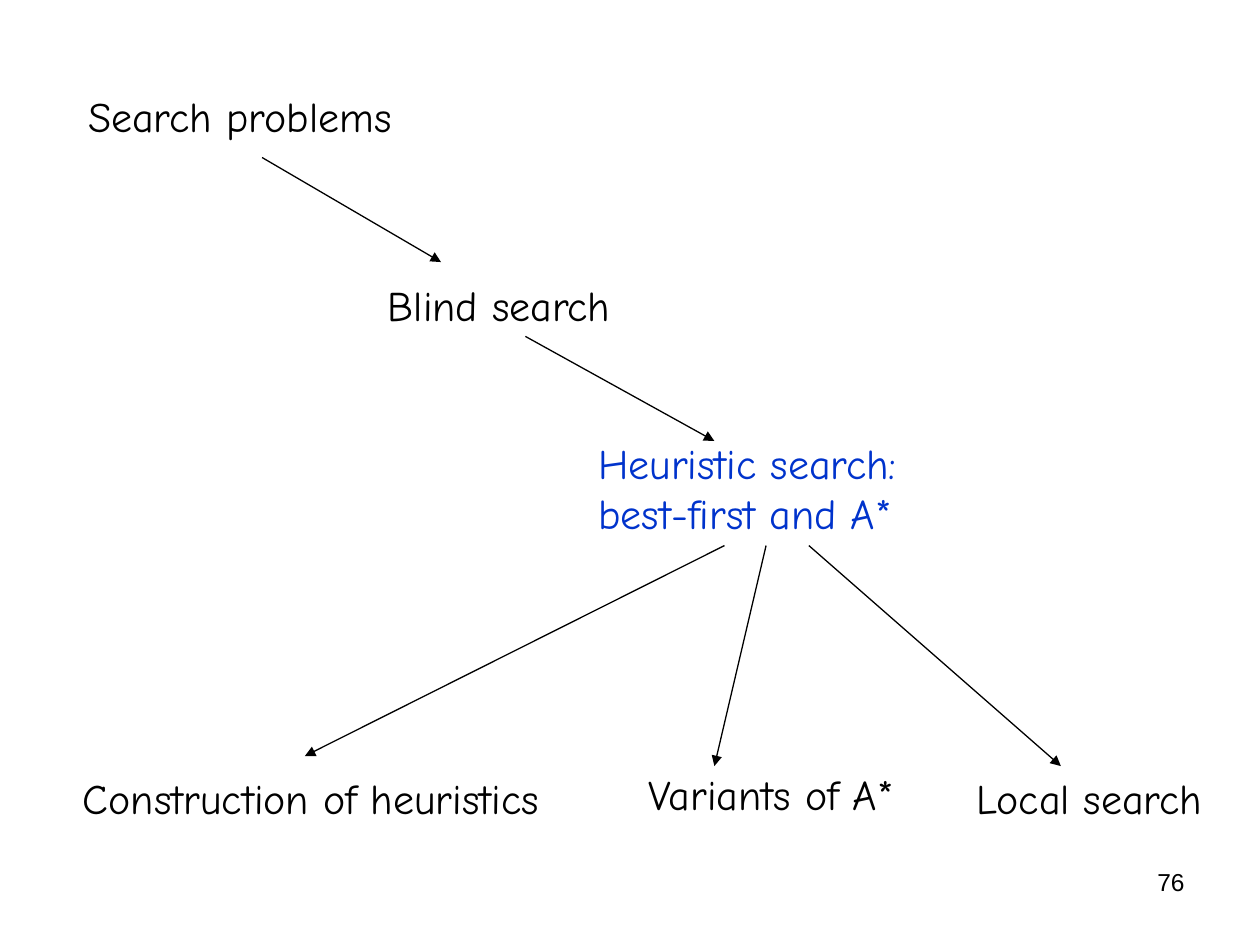
from lxml import etree
from pptx import Presentation
from pptx.dml.color import RGBColor
from pptx.enum.shapes import MSO_CONNECTOR
from pptx.enum.text import MSO_AUTO_SIZE, PP_ALIGN
from pptx.oxml.ns import qn
from pptx.util import Inches, Pt

STRAIGHT = MSO_CONNECTOR.STRAIGHT
FIT_SHAPE = MSO_AUTO_SIZE.SHAPE_TO_FIT_TEXT
LEFT, RIGHT = PP_ALIGN.LEFT, PP_ALIGN.RIGHT
BLACK, BLUE = "000000", "0033CC"

# Topics: text, (left, top, width, height), colour
TOPICS = [
    ("Search problems", (0.6, 0.67, 2.62, 0.5), BLACK),
    ("Blind search", (2.98, 2.17, 1.97, 0.5), BLACK),
    ("Heuristic search: \nbest-first and A*", (4.65, 3.42, 2.69, 0.9), BLUE),
    ("Construction of heuristics", (0.56, 6.08, 3.82, 0.5), BLACK),
    ("Variants of A*", (5.05, 6.05, 2.16, 0.5), BLACK),
    ("Local search", (7.65, 6.08, 2.01, 0.5), BLACK),
]

# Arrows: start point, end point
ARROWS = [
    ((2.08, 1.25), (3.5, 2.08)),
    ((4.17, 2.67), (5.67, 3.5)),
    ((5.75, 4.33), (2.42, 6)),
    ((6.08, 4.33), (5.67, 6.08)),
    ((6.42, 4.33), (8.42, 6.08)),
]


def color(hex_string):
    return RGBColor.from_string(hex_string)


def add_text(slide, text, box, hex_color, font="Comic Neue", size=24, align=LEFT):
    shape = slide.shapes.add_textbox(*map(Inches, box))
    paragraph = shape.text_frame.paragraphs[0]
    paragraph.text = text
    paragraph.alignment = align
    paragraph.font.name = font
    paragraph.font.size = Pt(size)
    paragraph.font.color.rgb = color(hex_color)
    return shape.text_frame


def add_topic(slide, text, box, hex_color):
    text_frame = add_text(slide, text, box, hex_color)
    text_frame.word_wrap = False
    text_frame.auto_size = FIT_SHAPE


def add_arrow(slide, start, end):
    connector = slide.shapes.add_connector(STRAIGHT, *map(Inches, start + end))
    connector.line.color.rgb = color(BLACK)
    connector.line.width = Pt(0.75)
    # Arrowhead at the end, no shadow
    line = connector.line._get_or_add_ln()
    etree.SubElement(line, qn("a:tailEnd"), type="triangle")
    etree.SubElement(connector._element.spPr, qn("a:effectLst"))


def main():
    presentation = Presentation()
    presentation.slide_width = Inches(10)
    presentation.slide_height = Inches(7.5)
    slide = presentation.slides.add_slide(presentation.slide_layouts[6])

    # Map of search topics
    for topic in TOPICS:
        add_topic(slide, *topic)
    for start, end in ARROWS:
        add_arrow(slide, start, end)

    # Page number
    page_number = add_text(slide, "76", (7.17, 6.83, 2.33, 0.52), BLACK,
                           "Arial", 14, RIGHT)
    page_number.word_wrap = True

    presentation.save("out.pptx")


if __name__ == "__main__":
    main()
